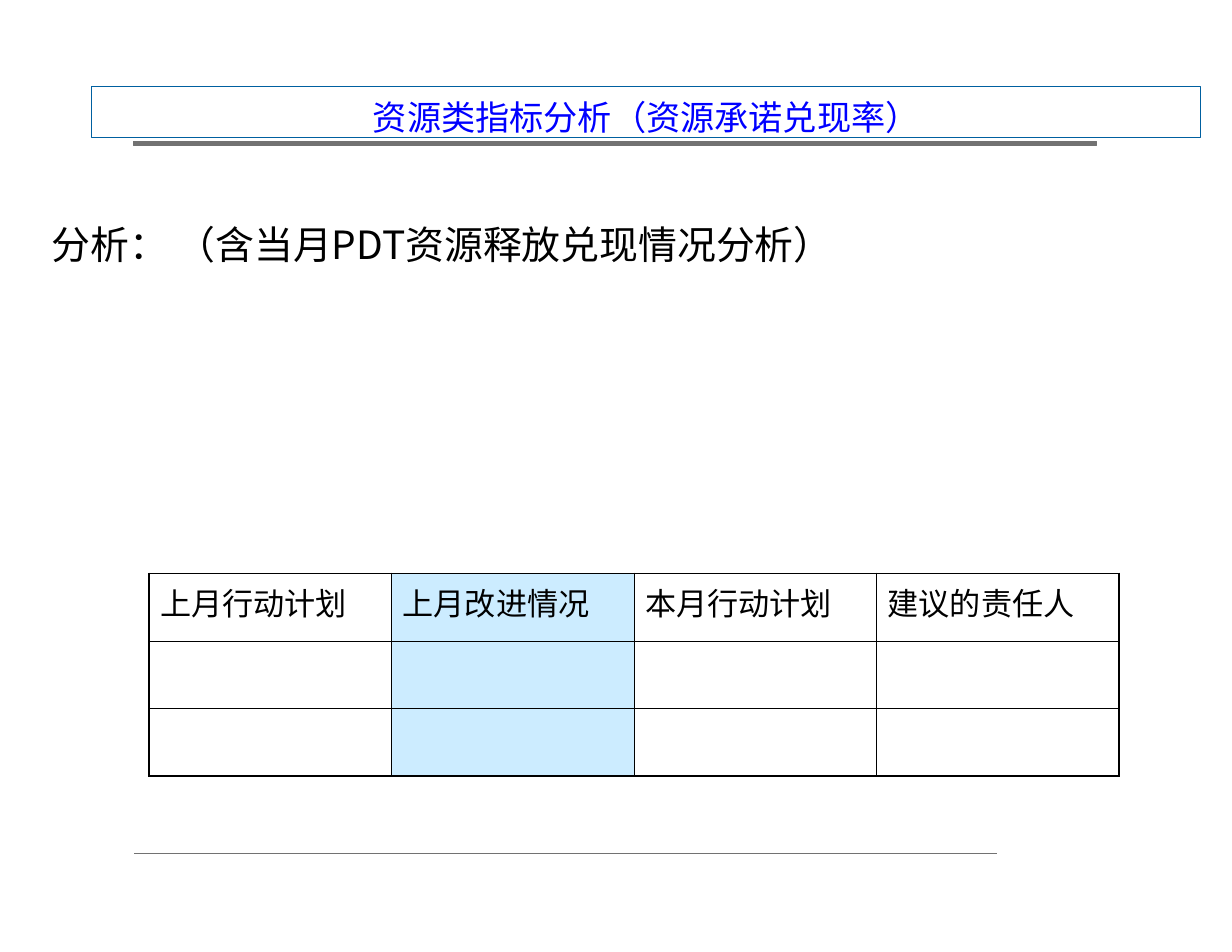
from pptx import Presentation
from pptx import util as u
from pptx.dml.color import RGBColor
from pptx.enum import shapes, text
from pptx.oxml import ns
from lxml import etree

COLORS = {"title": "0000FF", "frame": "0060A0", "rule": "727272",
          "ink": "000000", "highlight": "CCECFF"}
CJK_FONT = "Noto Sans CJK SC"
HEADINGS = ["上月行动计划", "上月改进情况", "本月行动计划", "建议的责任人"]
HIGHLIGHT_COLUMN = 1
ROW_COUNT = 3
THIN, THICK = 0.45, 1.08
RULE_WIDTH = 0.71


def color(name):
    return RGBColor.from_string(COLORS[name])


def style_line(line, name):
    line.color.rgb = color(name)
    line.width = u.Pt(RULE_WIDTH)


def write(frame, words, size, font_name, ink, align=text.PP_ALIGN.LEFT):
    para = frame.paragraphs[0]
    para.text = words
    para.alignment = align
    para.font.size = u.Pt(size)
    para.font.color.rgb = color(ink)
    para.font.name = font_name
    defaults = para._p.pPr.find(ns.qn("a:defRPr"))
    etree.SubElement(defaults, ns.qn("a:ea"), typeface=CJK_FONT)


def prepare_frame(frame, anchor):
    """Wrap the text, with no margins and no resizing."""
    frame.word_wrap = True
    frame.auto_size = text.MSO_AUTO_SIZE.NONE
    frame.vertical_anchor = anchor
    frame.margin_left = frame.margin_right = 0
    frame.margin_top = frame.margin_bottom = 0


def add_title(page, words):
    box = page.shapes.title
    box.left, box.top = u.Inches(0.82), u.Inches(0.77)
    box.width, box.height = u.Inches(9.9), u.Inches(0.46)
    style_line(box.line, "frame")
    prepare_frame(box.text_frame, text.MSO_ANCHOR.BOTTOM)
    write(box.text_frame, words, 22, CJK_FONT, "title", text.PP_ALIGN.CENTER)


def add_title_bar(page):
    bar = page.shapes.add_shape(shapes.MSO_SHAPE.ROUNDED_RECTANGLE, u.Inches(1.19),
                                u.Inches(1.26), u.Inches(8.6), u.Inches(0.04))
    bar.adjustments[0] = 0
    bar.shadow.inherit = False
    bar.fill.solid()
    bar.fill.fore_color.rgb = color("rule")
    style_line(bar.line, "rule")


def add_footer_rule(page):
    rule = page.shapes.add_connector(shapes.MSO_CONNECTOR.STRAIGHT, u.Inches(1.2),
                                     u.Inches(7.62), u.Inches(8.9), u.Inches(7.62))
    style_line(rule.line, "rule")
    etree.SubElement(rule._element.spPr, ns.qn("a:effectLst"))


def add_analysis(page, words):
    box = page.shapes.add_textbox(u.Inches(0.46), u.Inches(1.97),
                                  u.Inches(8.11), u.Inches(0.85))
    prepare_frame(box.text_frame, text.MSO_ANCHOR.TOP)
    write(box.text_frame, words, 25, CJK_FONT, "ink")


def set_borders(cell, widths):
    """Draw the borders; widths maps L, R, T and B to points."""
    properties = cell._tc.get_or_add_tcPr()
    for index, (side, width) in enumerate(widths.items()):
        border = etree.Element(ns.qn(f"a:ln{side}"), w=str(u.Pt(width)))
        fill = etree.SubElement(border, ns.qn("a:solidFill"))
        etree.SubElement(fill, ns.qn("a:srgbClr"), val=COLORS["ink"])
        properties.insert(index, border)


def add_action_table(page):
    last_row, last_column = ROW_COUNT - 1, len(HEADINGS) - 1
    table = page.shapes.add_table(ROW_COUNT, len(HEADINGS), u.Inches(1.33), u.Inches(5.12),
                                  u.Inches(8.66), u.Inches(1.81)).table
    table.first_row = table.horz_banding = False
    for r in range(ROW_COUNT):
        for c, heading in enumerate(HEADINGS):
            cell = table.cell(r, c)
            if c == HIGHLIGHT_COLUMN:
                cell.fill.solid()
                cell.fill.fore_color.rgb = color("highlight")
            else:
                cell.fill.background()
            set_borders(cell, {"L": THICK if c == 0 else THIN,
                               "R": THICK if c == last_column else THIN,
                               "T": THICK if r == 0 else THIN,
                               "B": THICK if r == last_row else THIN})
            if r == 0:
                write(cell.text_frame, heading, 20, "Arial", "ink")


def main():
    deck = Presentation()
    deck.slide_width, deck.slide_height = u.Inches(11), u.Inches(8.5)
    page = deck.slides.add_slide(deck.slide_layouts.get_by_name("Title Only"))
    add_title_bar(page)
    add_footer_rule(page)
    add_title(page, "资源类指标分析（资源承诺兑现率）")
    add_analysis(page, "分析： （含当月PDT资源释放兑现情况分析）")
    add_action_table(page)
    deck.save("out.pptx")


if __name__ == "__main__":
    main()
